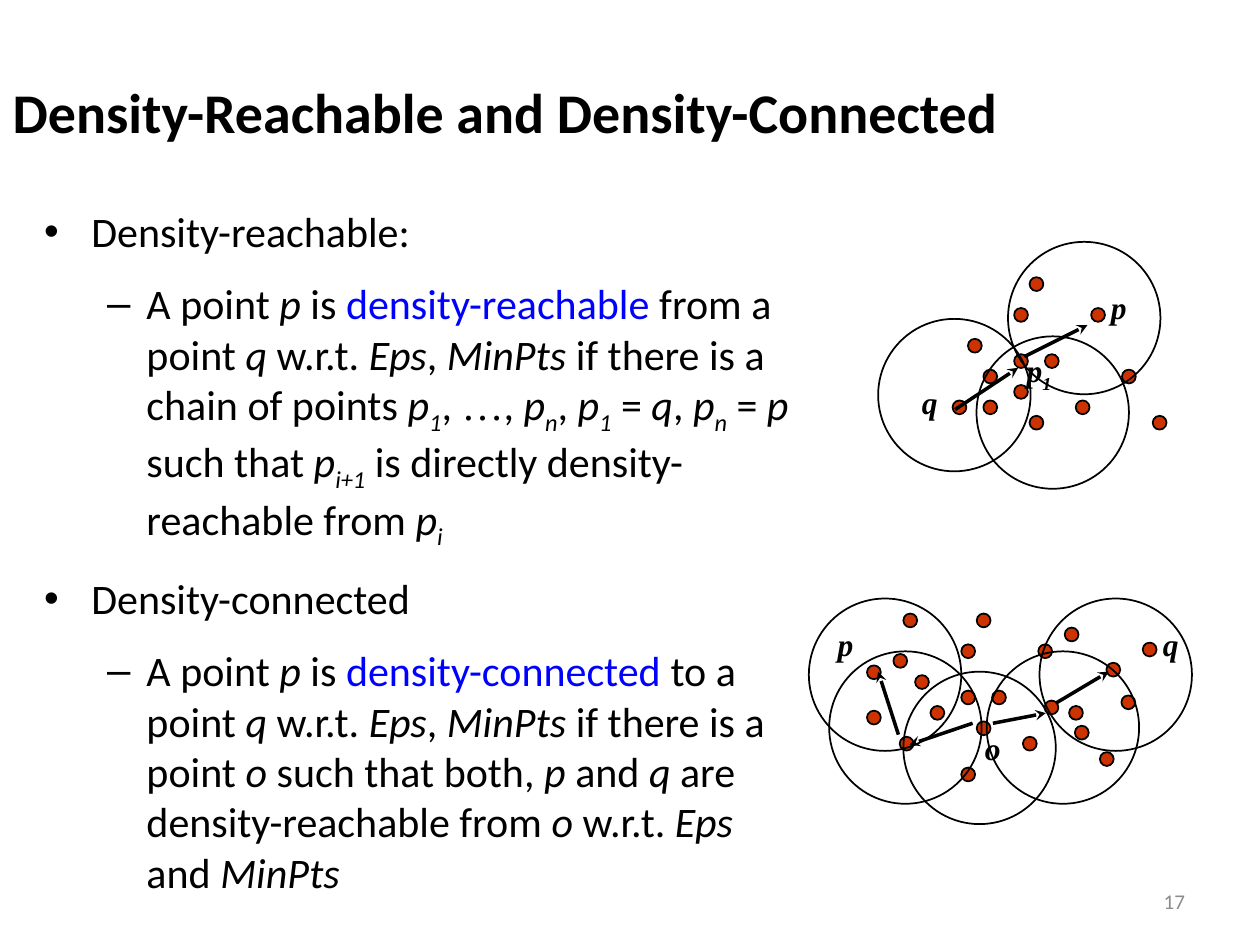
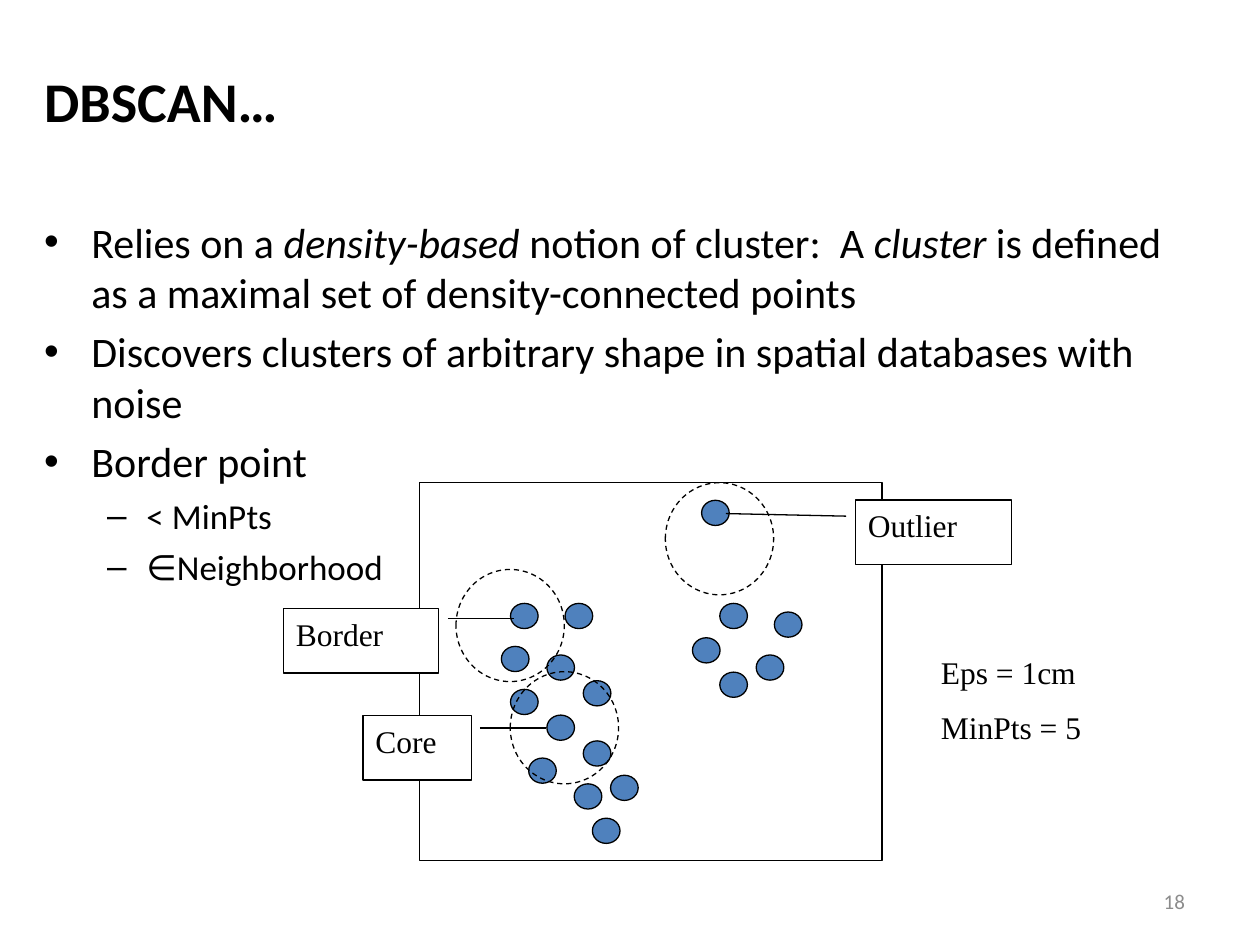
from lxml import etree
from pptx import Presentation
from pptx.dml.color import RGBColor
from pptx.enum.dml import MSO_LINE
from pptx.enum.shapes import MSO_CONNECTOR, MSO_SHAPE
from pptx.enum.text import MSO_ANCHOR, MSO_AUTO_SIZE, PP_ALIGN
from pptx.oxml.ns import qn
from pptx.util import Pt

ELLIPSE, RECTANGLE = MSO_SHAPE.OVAL, MSO_SHAPE.RECTANGLE
CALLOUT = MSO_SHAPE.LINE_CALLOUT_1
STRAIGHT = MSO_CONNECTOR.STRAIGHT
DASH = MSO_LINE.DASH
LEFT, RIGHT = PP_ALIGN.LEFT, PP_ALIGN.RIGHT
TOP, MIDDLE = MSO_ANCHOR.TOP, MSO_ANCHOR.MIDDLE
NO_FIT = MSO_AUTO_SIZE.NONE

SANS, SERIF = "Calibri", "Times New Roman"
BLACK, WHITE, GRAY = "000000", "FFFFFF", "8C8C8C"
TERM_BLUE, POINT_RED, POINT_BLUE = "0000FF", "CC3300", "4F81BD"

# A span that starts with one of these marks is formatted accordingly.
ITALIC, SUBSCRIPT, TERM, SERIF_MARK = "*", "_", "#", "~"
MARKS = ITALIC + SUBSCRIPT + TERM + SERIF_MARK


def color(hex_string):
    return RGBColor.from_string(hex_string)


class SlideBuilder:
    def __init__(self):
        self.deck = Presentation()
        self.deck.slide_width, self.deck.slide_height = Pt(720), Pt(540)
        self.slide = None

    def new_slide(self, number):
        self.slide = self.deck.slides.add_slide(self.deck.slide_layouts[1])
        self.text((516.2, 500.4, 168, 28.8), [number], size=12, font=SANS,
                  ink=GRAY, align=RIGHT, anchor=MIDDLE)

    def fill_text(self, frame, lines, sizes, gap=0, font=SERIF, ink=BLACK,
                  bold=False, align=LEFT, anchor=TOP):
        """Fill a frame with lines: '|' parts the spans, a leading '-' means level two."""
        frame.word_wrap = True
        frame.auto_size = NO_FIT
        frame.vertical_anchor = anchor
        for index, line in enumerate(lines):
            para = frame.paragraphs[0] if index == 0 else frame.add_paragraph()
            para.level = int(line.startswith("-"))
            para.alignment = align
            para.space_before = Pt(gap if index else 0)
            for part in line.removeprefix("-").split("|"):
                self.add_span(para, part, sizes[para.level], font, ink, bold)

    def add_span(self, para, part, size, font, ink, bold):
        mark = part[0] if part[0] in MARKS else ""
        span = para.add_run()
        span.text = part.removeprefix(mark)
        span.font.size = Pt(size)
        span.font.name = SERIF if mark == SERIF_MARK else font
        span.font.bold = bold
        span.font.italic = mark in (ITALIC, SUBSCRIPT)
        span.font.color.rgb = color(TERM_BLUE if mark == TERM else ink)
        if mark == SUBSCRIPT:
            span.font._element.set("baseline", "-25000")

    def place(self, shape, area):
        shape.left, shape.top, shape.width, shape.height = map(Pt, area)

    def title(self, area, words):
        title = self.slide.shapes.title
        self.place(title, area)
        self.fill_text(title.text_frame, [words], (32,), font=SANS, bold=True,
                       anchor=MIDDLE)

    def body(self, area, lines, sizes, gap):
        body = self.slide.placeholders[1]
        self.place(body, area)
        self.fill_text(body.text_frame, lines, sizes, gap, font=SANS)

    def text(self, area, lines, size=18, **style):
        box = self.slide.shapes.add_textbox(*map(Pt, area))
        self.fill_text(box.text_frame, lines, (size,), **style)

    def label(self, left, top, words, width=30):
        self.text((left, top, width, 36), [words], bold=True)

    def shape(self, kind, area, fill=None, line_width=0.75, dash=None):
        shape = self.slide.shapes.add_shape(kind, *map(Pt, area))
        shape.shadow.inherit = False
        if fill:
            shape.fill.solid()
            shape.fill.fore_color.rgb = color(fill)
        else:
            shape.fill.background()
        shape.line.color.rgb = color(BLACK)
        shape.line.width = Pt(line_width)
        if dash:
            shape.line.dash_style = dash
        return shape

    def red_point(self, left, top):
        self.shape(ELLIPSE, (left, top, 7.9, 7.9), POINT_RED, 1)

    def circle(self, left, top):
        self.shape(ELLIPSE, (left, top, 87.1, 87.1), line_width=1)

    def callout(self, area, words, adjustments):
        box = self.shape(CALLOUT, area, WHITE)
        for index, value in enumerate(adjustments):
            box.adjustments[index] = value
        self.fill_text(box.text_frame, [words], (18,))

    def arrow(self, *ends):
        line = self.slide.shapes.add_connector(STRAIGHT, *map(Pt, ends))
        line.line.color.rgb = color(BLACK)
        line.line.width = Pt(2)
        properties = line._element.spPr
        etree.SubElement(properties.find(qn("a:ln")), qn("a:tailEnd"), type="stealth")
        etree.SubElement(properties, qn("a:effectLst"))


def grid_points(origin, step, cells):
    """Turn (column, row) cells into positions in points."""
    return [(origin[0] + column * step[0], origin[1] + row * step[1])
            for column, row in cells]


def point_diagram(builder, points, circles, labels, arrows):
    for point in points:
        builder.red_point(*point)
    for corner in circles:
        builder.circle(*corner)
    for label in labels:
        builder.label(*label)
    for ends in arrows:
        builder.arrow(*ends)


def reachability_slide(builder):
    builder.new_slide("17")
    builder.title((0, 30.2, 720, 66.2), "Density-Reachable and Density-Connected")
    builder.body((18, 113.8, 444.2, 396), [
        "Density-reachable:",
        "-A point |*p| is |#density-reachable| from a point |*q| w.r.t. |*Eps|, |*MinPts"
        "| if there is a chain of points |*p|_1|, |~…|, |*p|_n|, |*p|_1| = |*q|, |*p|_n"
        "| = |*p| such that |*p|_i+1| is directly density-reachable from |*p|_i",
        "Density-connected",
        "-A point |*p| is |#density-connected| to a point |*q| w.r.t. |*Eps|, |*MinPts"
        "| if there is a point |*o |such that both, |*p| and |*q"
        "| are density-reachable from |*o| w.r.t. |*Eps| and |*MinPts",
    ], sizes=(24, 24), gap=12.5)

    step = (8.8, 8.8)
    shared_cells = [(1, 4), (4, 5), (4, 2), (0, 8), (2, 6), (5, 0), (11, 6),
                    (9, 2), (6, 5), (8, 8), (13, 9)]
    reachable_cells = shared_cells + [(2, 8), (5, 9), (4, 7)]
    connected_cells = shared_cells + [(4, 10), (5, 7)]
    loose_points = [(495.4, 406.1), (640.8, 397.4), (596.9, 400.3), (614.2, 414.7),
                    (653, 367.2), (608.4, 358.6), (632.2, 378.7), (510.5, 373.7),
                    (495.4, 380.2), (516.2, 350.6)]
    point_diagram(
        builder,
        points=grid_points((544.3, 158.4), step, reachable_cells),
        circles=[(558, 192.2), (501.8, 182.2), (576, 138.2)],
        labels=[(627.8, 161.3, "*p"), (519.8, 215.3, "*q"), (579.6, 197.3, "*p|_1", 48)],
        arrows=[(585.4, 203.8, 621.4, 185.8), (545.8, 234, 581.8, 210.2)])
    point_diagram(
        builder,
        points=grid_points((514.1, 350.6), step, connected_cells) + loose_points,
        circles=[(473.8, 372.2), (516.2, 383.8), (563.8, 372.2), (594, 342), (462.2, 342)],
        labels=[(471.6, 353.5, "*p"), (657.4, 353.5, "*q"), (555.8, 413.3, "*o")],
        arrows=[(555.8, 413.3, 519.8, 425.5), (567.4, 413.3, 597.6, 407.5),
                (513.4, 419.8, 501.8, 383.8), (603.4, 401.8, 633.6, 383.8)])


def dbscan_slide(builder):
    builder.new_slide("18")
    builder.title((18, 18, 672, 78), "DBSCAN…")
    builder.body((18, 120, 672, 396), [
        "Relies on a |*density-based| notion of cluster:  A |*cluster"
        "| is defined as a maximal set of density-connected points",
        "Discovers clusters of arbitrary shape in spatial databases with noise",
        "Border point",
        "-< MinPts",
        "-∈Neighborhood",
    ], sizes=(24, 20), gap=5)

    cells = [(1, 12), (0, 17), (5, 18), (7, 12), (9, 21), (1, 22), (5, 25), (3, 30),
             (8, 33), (10, 37), (9, 28), (12, 32), (22, 0), (24, 12), (21, 16),
             (28, 18), (30, 13), (24, 20)]
    for left, top in grid_points((286.5, 285.9), (5.2, 4.91), cells):
        builder.shape(ELLIPSE, (left, top, 15.8, 14.4), POINT_BLUE)
    builder.shape(RECTANGLE, (239.8, 275.8, 264.2, 216))
    for left, top in [(260.6, 325.4), (291.6, 383.8), (380.2, 275.8)]:
        builder.shape(ELLIPSE, (left, top, 61.9, 64.1), dash=DASH)

    builder.callout((207.4, 409, 61.9, 36.7), "Core", (0.19, 1.08, 0.19, 1.69))
    builder.callout((162, 347.8, 88.6, 36.7), "Border", (0.15, 1.06, 0.15, 1.49))
    builder.callout((488.9, 285.8, 89.3, 36.7), "Outlier", (0.25, -0.06, 0.21, -0.83))
    builder.text((530.6, 369.4, 129.6, 79.2), ["Eps = 1cm", "MinPts = 5"], gap=10)


def main():
    builder = SlideBuilder()
    reachability_slide(builder)
    dbscan_slide(builder)
    builder.deck.save("out.pptx")


if __name__ == "__main__":
    main()
